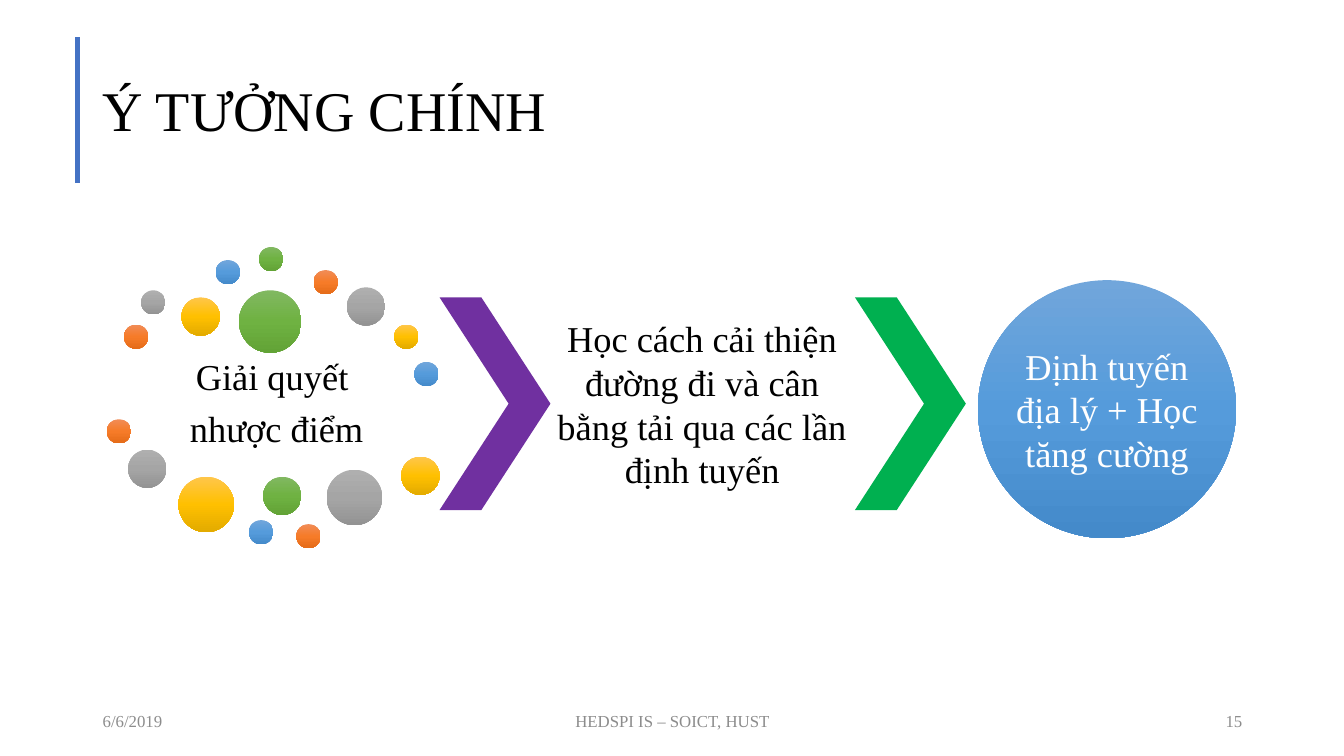
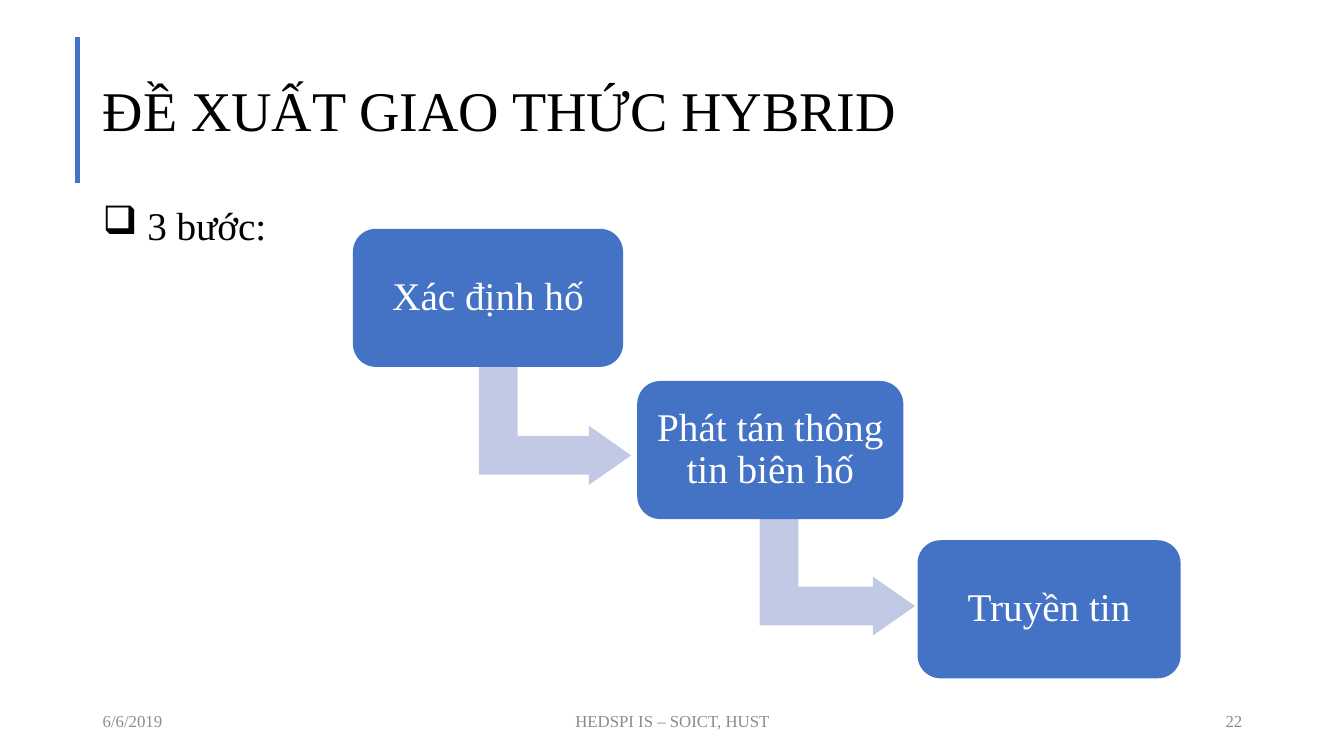
from copy import deepcopy
from dataclasses import dataclass
from itertools import cycle
from typing import NamedTuple

from lxml.etree import SubElement
from pptx import Presentation
from pptx.dml.color import RGBColor as RGB
from pptx.enum.shapes import MSO_CONNECTOR as LINE, MSO_SHAPE as SHAPE
from pptx.enum.text import MSO_ANCHOR as ANCHOR, PP_ALIGN as ALIGN
from pptx.oxml.ns import qn
from pptx.util import Inches, Pt


@dataclass(frozen=True)
class Theme:
    font: str = "Times New Roman"
    ink: str = "000000"
    white: str = "FFFFFF"
    mute: str = "8C8C8C"
    blue: str = "4472C4"
    pale: str = "C1C9E4"
    violet: str = "7030A0"
    green: str = "00B050"
    sky: tuple = ("71A6DB", "559BDB", "448ACA")
    orange: tuple = ("F18C57", "F67B28", "E56C19")
    grey: tuple = ("AFAFAF", "A5A5A5", "939393")
    gold: tuple = ("FFC64B", "FFC000", "E3AB00")
    leaf: tuple = ("81B861", "6FB242", "62A336")
    title: int = 40
    body: int = 28
    label: int = 26
    foot: int = 12


T = Theme()


class Box(NamedTuple):
    x: float
    y: float
    w: float
    h: float


class Dot(NamedTuple):
    x: float
    y: float
    size: float


class Step(NamedTuple):
    text: str
    box: Box


class Style(NamedTuple):
    size: int
    color: str = T.ink
    align: ALIGN = ALIGN.LEFT
    anchor: ANCHOR = ANCHOR.MIDDLE
    space: float = 1.0
    inset: tuple = (0.1, 0.05)
    after: int = 0


# Text styles
HEAD = Style(T.title, space=0.9)
LIST = Style(T.body, anchor=ANCHOR.TOP, space=0.9)
FOOT = Style(T.foot, T.mute)
NOTE = Style(T.label, align=ALIGN.CENTER, inset=(0.04, 0.04))
PAIR = NOTE._replace(space=0.9, after=9)
GOAL = NOTE._replace(color=T.white, inset=(0, 0))
CARD = Style(T.body, T.white, ALIGN.CENTER, space=0.9, inset=(0.12, 0.12))

# Content
SMALL, MID, BIG, HUGE = 0.24, 0.38, 0.55, 0.62
DOTS = [
    Dot(1.23, 3.22, SMALL), Dot(1.4, 2.88, SMALL), Dot(1.8, 2.95, MID),
    Dot(2.14, 2.58, SMALL), Dot(2.57, 2.45, SMALL), Dot(3.11, 2.68, SMALL),
    Dot(3.44, 2.85, MID), Dot(3.91, 3.22, SMALL), Dot(4.11, 3.59, SMALL),
    Dot(2.37, 2.88, HUGE), Dot(1.06, 4.16, SMALL), Dot(1.27, 4.46, MID),
    Dot(1.77, 4.73, BIG), Dot(2.47, 5.16, SMALL), Dot(2.61, 4.73, MID),
    Dot(2.94, 5.2, SMALL), Dot(3.24, 4.66, BIG), Dot(3.98, 4.53, MID),
]
STEPS = [
    Step("Xác định hố", Box(3.5, 2.27, 2.68, 1.37)),
    Step("Phát tán thông tin biên hố", Box(6.32, 3.78, 2.64, 1.37)),
    Step("Truyền tin", Box(9.1, 5.36, 2.61, 1.37)),
]
BENDS = [Box(4.92, 3.47, 1.17, 1.51), Box(7.72, 4.95, 1.17, 1.54)]


def place(box: Box) -> list:
    return [Inches(v) for v in box]


def write(item, lines: list, style: Style) -> None:
    """Fill a shape or text box with styled paragraphs."""
    frame = item.text_frame
    across, down = map(Inches, style.inset)
    form = {
        "word_wrap": True, "vertical_anchor": style.anchor,
        "margin_left": across, "margin_right": across,
        "margin_top": down, "margin_bottom": down,
    }
    for name, value in form.items():
        setattr(frame, name, value)
    frame.text = "\n".join(lines)
    look = {"alignment": style.align, "line_spacing": style.space,
            "space_after": Pt(style.after)}
    face = {"name": T.font, "size": Pt(style.size)}
    for para in frame.paragraphs:
        for name, value in look.items():
            setattr(para, name, value)
        for run in para.runs:
            for name, value in face.items():
                setattr(run.font, name, value)
            run.font.color.rgb = RGB.from_string(style.color)


def label(slide, box: Box, lines: list, style: Style):
    item = slide.shapes.add_textbox(*place(box))
    write(item, lines, style)
    return item


def draw(slide, kind: SHAPE, box: Box, paint, adjust: tuple = ()):
    """Add a shape with a flat colour or a three-stop gradient."""
    item = slide.shapes.add_shape(kind, *place(box))
    item.shadow.inherit = False
    item.line.fill.background()
    for spot, value in enumerate(adjust):
        item.adjustments[spot] = value
    fill = item.fill
    if isinstance(paint, str):
        fill.solid()
        fill.fore_color.rgb = RGB.from_string(paint)
        return item
    fill.gradient()
    fill.gradient_angle = 270
    stops = item.element.spPr.find(".//" + qn("a:gsLst"))
    stops.insert(1, deepcopy(stops[0]))
    for stop, color, spot in zip(fill.gradient_stops, paint, (0, 0.5, 1)):
        stop.color.rgb = RGB.from_string(color)
        stop.position = spot
    return item


def start(deck, title: str, page: int):
    """Add a slide with the side rule, title and footer."""
    slide = deck.slides.add_slide(deck.slide_layouts[6])
    ends = map(Inches, (0.77, 0.37, 0.77, 1.82))
    rule = slide.shapes.add_connector(LINE.STRAIGHT, *ends)
    rule.line.width = Pt(3)
    rule.line.color.rgb = RGB.from_string(T.blue)
    SubElement(rule.element.spPr, qn("a:effectLst"))
    label(slide, Box(0.92, 0.4, 11.5, 1.45), [title], HEAD)
    feet = [
        ("6/6/2019", 0.92, 3, ALIGN.LEFT),
        ("HEDSPI IS – SOICT, HUST", 4.42, 4.5, ALIGN.CENTER),
        (str(page), 9.42, 3, ALIGN.RIGHT),
    ]
    for text, x, w, align in feet:
        label(slide, Box(x, 6.95, w, 0.4), [text], FOOT._replace(align=align))
    return slide


def idea(deck) -> None:
    slide = start(deck, "Ý TƯỞNG CHÍNH", 15)
    # Ring of dots round the first label
    label(slide, Box(1.24, 3.52, 3.01, 0.99),
          ["Giải quyết ", "nhược điểm"], PAIR)
    paints = cycle((T.orange, T.grey, T.gold, T.sky, T.leaf))
    for dot, paint in zip(DOTS, paints):
        draw(slide, SHAPE.OVAL, Box(dot.x, dot.y, dot.size, dot.size), paint)
    # Chevrons, middle label and goal
    for x, paint in ((4.36, T.violet), (8.48, T.green)):
        draw(slide, SHAPE.CHEVRON, Box(x, 2.95, 1.1, 2.11), paint, (0.623,))
    label(slide, Box(5.46, 2.95, 3.01, 2.11),
          ["Học cách cải thiện đường đi và cân bằng tải "
           "qua các lần định tuyến"], NOTE)
    goal = draw(slide, SHAPE.OVAL, Box(9.7, 2.78, 2.56, 2.56), T.sky)
    write(goal, ["Định tuyến địa lý + Học tăng cường"], GOAL)


def hybrid(deck) -> None:
    slide = start(deck, "ĐỀ XUẤT GIAO THỨC HYBRID", 22)
    # Bulleted lead
    lead = label(slide, Box(0.92, 2, 11.5, 4.76), [" 3 bước:"], LIST)
    props = lead.text_frame.paragraphs[0]._p.get_or_add_pPr()
    props.set("marL", str(Inches(0.25)))
    props.set("indent", str(Inches(-0.25)))
    SubElement(props, qn("a:buChar"), char="❑")
    # Stairs of steps
    for box in BENDS:
        bend = draw(slide, SHAPE.BENT_UP_ARROW, box, T.pale,
                    (0.328, 0.25, 0.358))
        bend.rotation = 90
    for step in STEPS:
        card = draw(slide, SHAPE.ROUNDED_RECTANGLE, step.box, T.blue, (0.167,))
        write(card, [step.text], CARD)


def main() -> None:
    deck = Presentation()
    deck.slide_width, deck.slide_height = Inches(13.33), Inches(7.5)
    idea(deck)
    hybrid(deck)
    deck.save("out.pptx")


if __name__ == "__main__":
    main()
